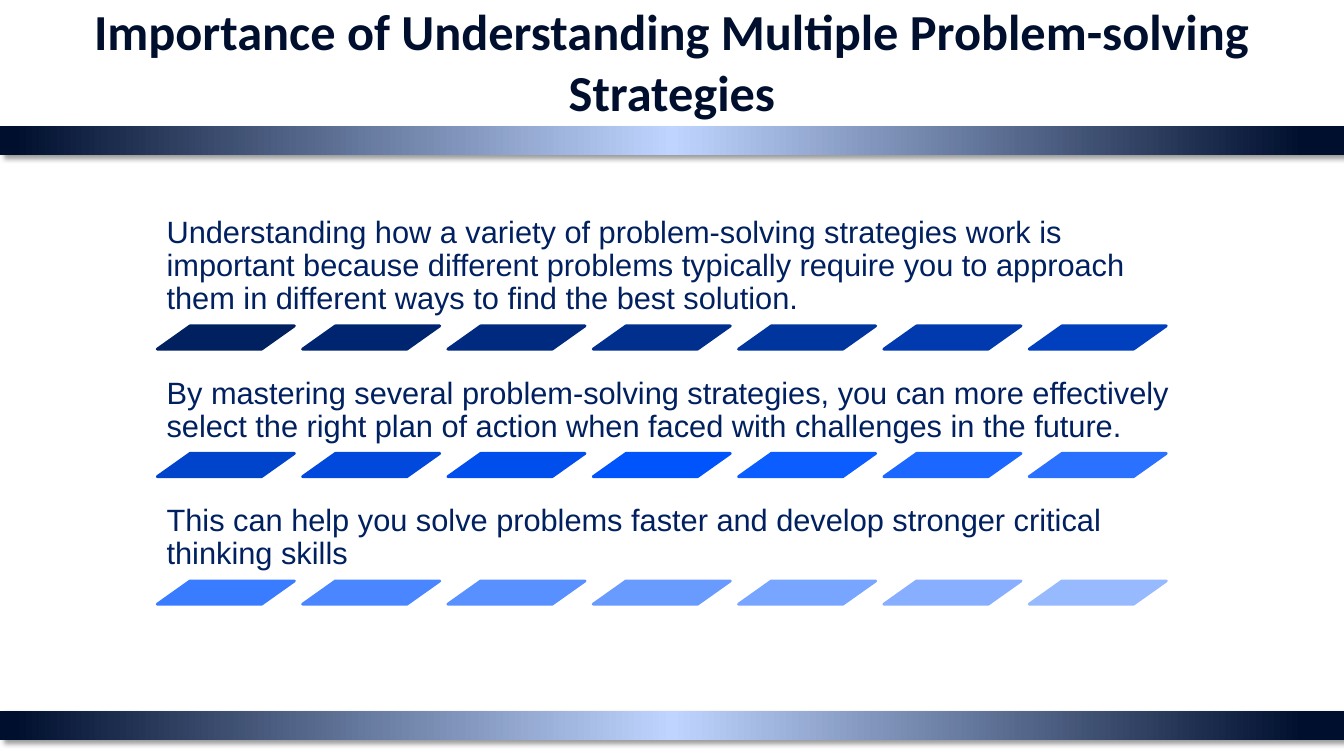
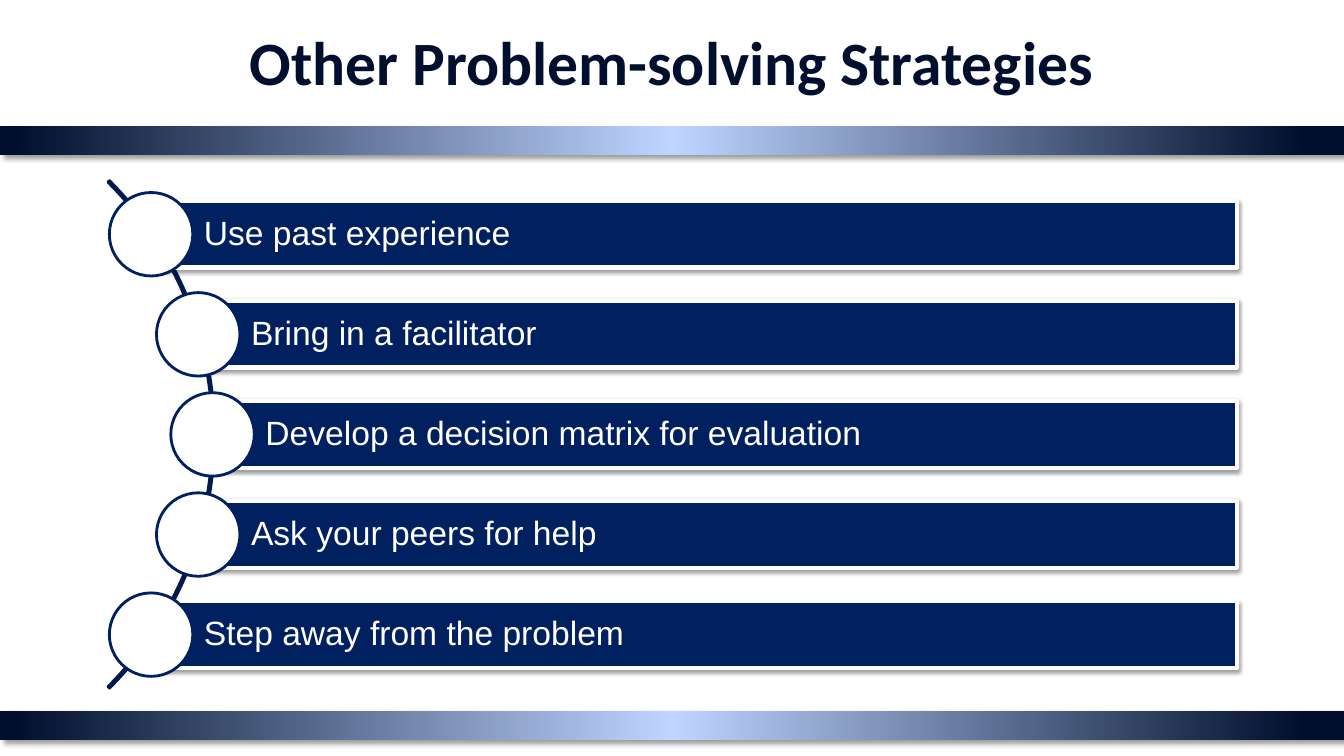
from colorsys import hls_to_rgb
from math import sqrt

from lxml import etree
from pptx import Presentation
from pptx.dml.color import RGBColor
from pptx.enum import shapes, text
from pptx.oxml import ns
from pptx.util import Pt

SHAPE = shapes.MSO_SHAPE
ANCHOR = text.MSO_ANCHOR
ALIGN = text.PP_ALIGN

WIDTH, HEIGHT = 960, 540
INK, NAVY, ARC, PALE, WHITE = "000F2E", "002060", "001A4D", "BFD5FF", "FFFFFF"
BAND_TOPS, BAND_HEIGHT = (507.6, 90), 21
BAND_STOPS = [(0, INK), (3, INK), (50, PALE), (99, INK), (100, INK)]
BAND_SHADOW = dict(alpha=40, blur=4, distance=3, angle=45)
BAR_SHADOW = dict(alpha=38, blur=3.1, distance=1.6, angle=90)


def colour(hex_value):
    return RGBColor.from_string(hex_value)


def add_element(parent, tag, **attributes):
    values = {name: str(value) for name, value in attributes.items()}
    return etree.SubElement(parent, ns.qn(tag), values)


class Deck:
    def __init__(self):
        self.presentation = Presentation()
        self.presentation.slide_width = Pt(WIDTH)
        self.presentation.slide_height = Pt(HEIGHT)
        self.slide = None

    def new_slide(self, title, size):
        """Start a slide with the shared bands and title."""
        layout = self.presentation.slide_layouts[6]
        self.slide = self.presentation.slides.add_slide(layout)
        for top in BAND_TOPS:
            self.band(top)
        self.text_box((48, 15, 864, 57), title, (7.2, 3.6, 7.2, 3.6),
                      anchor=ANCHOR.MIDDLE, align=ALIGN.CENTER, spacing=1.0,
                      name="Calibri", size=size, ink=INK, bold=True)

    def shape(self, kind, box, fill=None, line=None, line_width=2,
              adjustments=(), shadow=None):
        shape = self.slide.shapes.add_shape(kind, *map(Pt, box))
        for index, value in enumerate(adjustments):
            shape.adjustments[index] = value
        if fill:
            shape.fill.solid()
            shape.fill.fore_color.rgb = colour(fill)
        else:
            shape.fill.background()
        if line:
            shape.line.color.rgb = colour(line)
            shape.line.width = Pt(line_width)
        else:
            shape.line.fill.background()
        shape.shadow.inherit = False
        if shadow:
            self.cast_shadow(shape, **shadow)
        return shape

    def cast_shadow(self, shape, alpha, blur, distance, angle):
        effects = shape._element.spPr.find(ns.qn("a:effectLst"))
        outer = add_element(effects, "a:outerShdw", blurRad=Pt(blur),
                            dist=Pt(distance), dir=angle * 60000,
                            algn="ctr", rotWithShape=0)
        tint = add_element(outer, "a:srgbClr", val="000000")
        add_element(tint, "a:alpha", val=alpha * 1000)

    def band(self, top):
        band = self.shape(SHAPE.RECTANGLE, (0, top, WIDTH, BAND_HEIGHT),
                          shadow=BAND_SHADOW)
        band.fill.gradient()
        band.fill.gradient_angle = 180
        stops = band._element.spPr.find(".//" + ns.qn("a:gsLst"))
        for stop in list(stops):
            stops.remove(stop)
        for position, tint in BAND_STOPS:
            stop = add_element(stops, "a:gs", pos=position * 1000)
            add_element(stop, "a:srgbClr", val=tint)

    def set_text(self, shape, words, insets, anchor, size, ink,
                 align=ALIGN.LEFT, spacing=0.9, name="Arial", bold=False):
        left, top, right, bottom = map(Pt, insets)
        frame = shape.text_frame
        frame_format = dict(word_wrap=True, vertical_anchor=anchor,
                            margin_left=left, margin_top=top,
                            margin_right=right, margin_bottom=bottom)
        paragraph = frame.paragraphs[0]
        run = paragraph.add_run()
        run.text = words
        formats = (
            (frame, frame_format),
            (paragraph, dict(alignment=align, line_spacing=spacing)),
            (run.font, dict(name=name, size=Pt(size), bold=bold)),
        )
        for target, values in formats:
            for attribute, value in values.items():
                setattr(target, attribute, value)
        run.font.color.rgb = colour(ink)

    def text_box(self, box, words, insets, **style):
        shape = self.slide.shapes.add_textbox(*map(Pt, box))
        self.set_text(shape, words, insets, **style)


def importance_slide(deck):
    deck.new_slide("Importance of Understanding Multiple Problem-solving Strategies", 36)
    statements = [
        "Understanding how a variety of problem-solving strategies work is important "
        "because different problems typically require you to approach them in "
        "different ways to find the best solution.",
        "By mastering several problem-solving strategies, you can more effectively "
        "select the right plan of action when faced with challenges in the future.",
        "This can help you solve problems faster and develop stronger critical "
        "thinking skills",
    ]
    left, first_top, row_pitch, text_height = 112.3, 166, 91.1, 66.8
    columns, column_pitch = 7, 103.8
    last_tile = len(statements) * columns - 1

    for row, statement in enumerate(statements):
        top = first_top + row * row_pitch
        deck.text_box((left, top, 735, text_height), statement, (6.7,) * 4,
                      anchor=ANCHOR.BOTTOM, size=22, ink=NAVY)
        # Tiles lighten evenly from the first row to the last
        for column in range(columns):
            step = (row * columns + column) / last_tile
            lightness = (96 + 310 * step) / 510
            channels = hls_to_rgb(220 / 360, lightness, 1)
            tint = "".join(f"{round(255 * channel):02X}" for channel in channels)
            tile = (left + column * column_pitch, top + text_height, 98, 16.6)
            deck.shape(SHAPE.PARALLELOGRAM, tile, tint, tint, adjustments=[1.41])


def strategies_slide(deck):
    deck.new_slide("Other Problem-solving Strategies", 44)
    strategies = [
        "Use past experience",
        "Bring in a facilitator",
        "Develop a decision matrix for evaluation",
        "Ask your peers for help",
        "Step away from the problem",
    ]
    # Arc that carries the circles
    centre_x, centre_y, arc_size = -103, 310.3, 512.6
    deck.shape(SHAPE.BLOCK_ARC,
               (centre_x - arc_size / 2, centre_y - arc_size / 2, arc_size, arc_size),
               line=ARC, adjustments=[189, 27, 0.003])

    # Each bar starts at the centre of its circle
    radius, pitch, bar_height, bar_right, circle = 254.8, 71.5, 47.6, 883.4, 59.6
    for index, strategy in enumerate(strategies):
        offset = (index - len(strategies) // 2) * pitch
        x, y = centre_x + sqrt(radius ** 2 - offset ** 2), centre_y + offset
        bar = deck.shape(SHAPE.RECTANGLE,
                         (x, y - bar_height / 2, bar_right - x, bar_height),
                         NAVY, WHITE, 3, shadow=BAR_SHADOW)
        deck.set_text(bar, strategy, (37.8, 4.8, 4.8, 4.8),
                      anchor=ANCHOR.MIDDLE, size=24, ink=WHITE)
        deck.shape(SHAPE.OVAL, (x - circle / 2, y - circle / 2, circle, circle),
                   WHITE, NAVY)


def main():
    deck = Deck()
    importance_slide(deck)
    strategies_slide(deck)
    deck.presentation.save("out.pptx")


if __name__ == "__main__":
    main()
